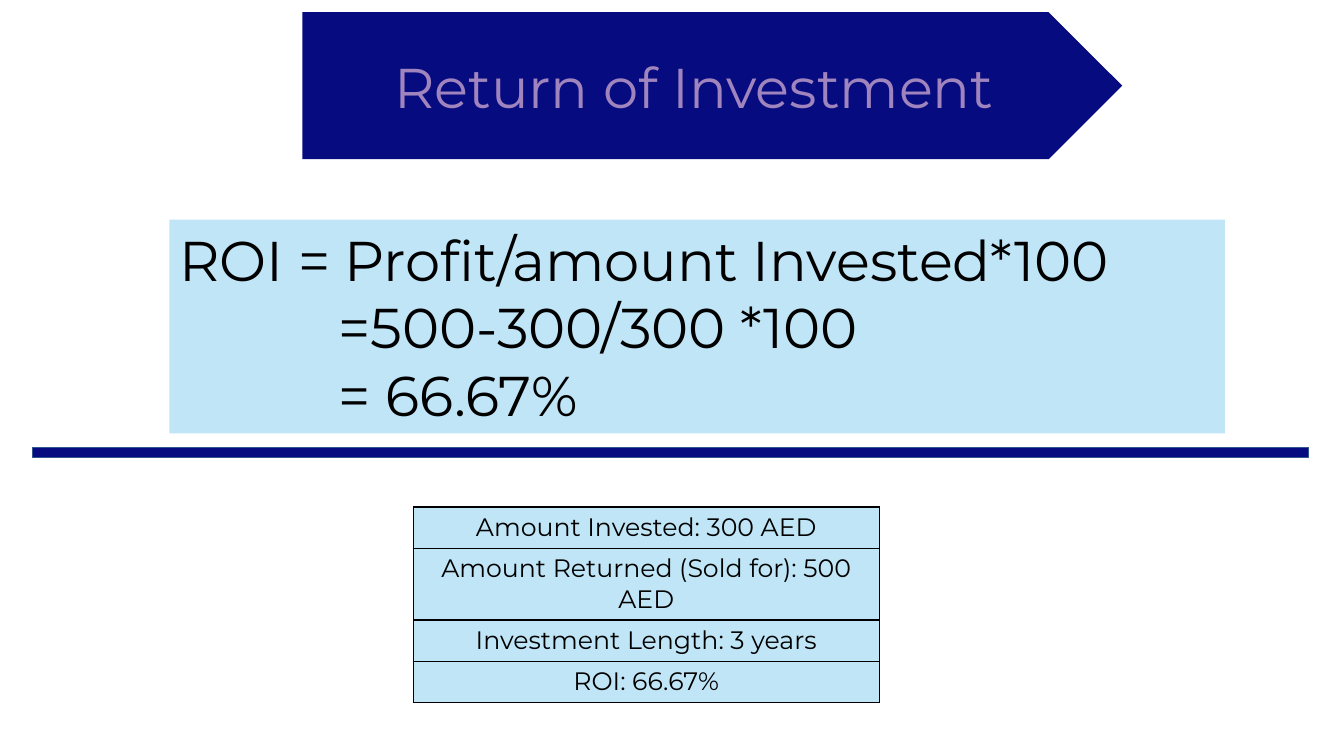
from lxml import etree
from pptx import Presentation
from pptx.dml.color import RGBColor
from pptx.enum.shapes import MSO_SHAPE
from pptx.enum.text import MSO_ANCHOR, PP_ALIGN
from pptx.oxml import parse_xml
from pptx.oxml.ns import qn
from pptx.util import Inches, Pt

PLATE, RECT = MSO_SHAPE.PENTAGON, MSO_SHAPE.RECTANGLE
MIDDLE = MSO_ANCHOR.MIDDLE
LEFT, CENTER = PP_ALIGN.LEFT, PP_ALIGN.CENTER
NS = "http://schemas.openxmlformats.org/drawingml/2006/main"
COLORS = {"navy": "070B80", "sky": "89CFF0", "mauve": "9F84BD",
          "black": "000000", "edge": "325491"}


def paint(fill, color, alpha=100):
    """Fill solidly; alpha is the opacity in percent."""
    fill.solid()
    fill.fore_color.rgb = RGBColor.from_string(COLORS[color])
    if alpha < 100:
        tint = fill._xPr.find(qn("a:solidFill"))[0]
        etree.SubElement(tint, qn("a:alpha"), val=str(alpha * 1000))


def write(para, text, size, color, align):
    para.text = text
    para.alignment = align
    para.font.name = "Montserrat"
    para.font.size = Pt(size)
    para.font.color.rgb = RGBColor.from_string(COLORS[color])


deck = Presentation()
deck.slide_width, deck.slide_height = Inches(13.33), Inches(7.5)
slide = deck.slides.add_slide(deck.slide_layouts[6])

# Banner, formula panel and divider
shapes = []
for kind, box, color, alpha in [
    (PLATE, (3, 0.12, 8.13, 1.46), "navy", 100),
    (RECT, (1.68, 2.18, 10.47, 2.12), "sky", 53),
    (RECT, (0.32, 4.44, 12.66, 0.1), "navy", 100),
]:
    shape = slide.shapes.add_shape(kind, *map(Inches, box))
    shape.shadow.inherit = False
    paint(shape.fill, color, alpha)
    shape.line.fill.background()
    shapes.append(shape)
banner, panel, rule = shapes

rule.line.color.rgb = RGBColor.from_string(COLORS["edge"])
rule.line.width = Pt(1)

banner.text_frame.vertical_anchor = MIDDLE
write(banner.text_frame.paragraphs[0], "Return of Investment", 40, "mauve", CENTER)

frame = panel.text_frame
frame.word_wrap = True
frame.vertical_anchor = MIDDLE
steps = ["ROI = Profit/amount Invested*100", "=500-300/300 *100", "= 66.67%"]
for i, step in enumerate(steps):
    para = frame.add_paragraph() if i else frame.paragraphs[0]
    write(para, step, 40, "black", LEFT)
    if i:
        para._p.get_or_add_pPr().set("marL", str(Inches(1.58)))

# Summary table
facts = ["Amount Invested: 300 AED", "Amount Returned (Sold for): 500 AED",
         "Investment Length: 3 years", "ROI: 66.67%"]
high = Inches(0.41)
table = slide.shapes.add_table(len(facts), 1, Inches(4.1), Inches(5.03),
                               Inches(4.62), high * len(facts)).table
table.first_row = table.horz_banding = False
for row, fact in zip(table.rows, facts):
    row.height = high
    cell = row.cells[0]
    write(cell.text_frame.paragraphs[0], fact, 18, "black", CENTER)
    paint(cell.fill, "sky", 54)
    props = cell._tc.get_or_add_tcPr()
    for i, side in enumerate(["lnL", "lnR", "lnT", "lnB"]):
        props.insert(i, parse_xml(
            f'<a:{side} xmlns:a="{NS}" w="{Pt(1)}"><a:solidFill>'
            f'<a:srgbClr val="{COLORS["black"]}"/></a:solidFill></a:{side}>'))

deck.save("out.pptx")
